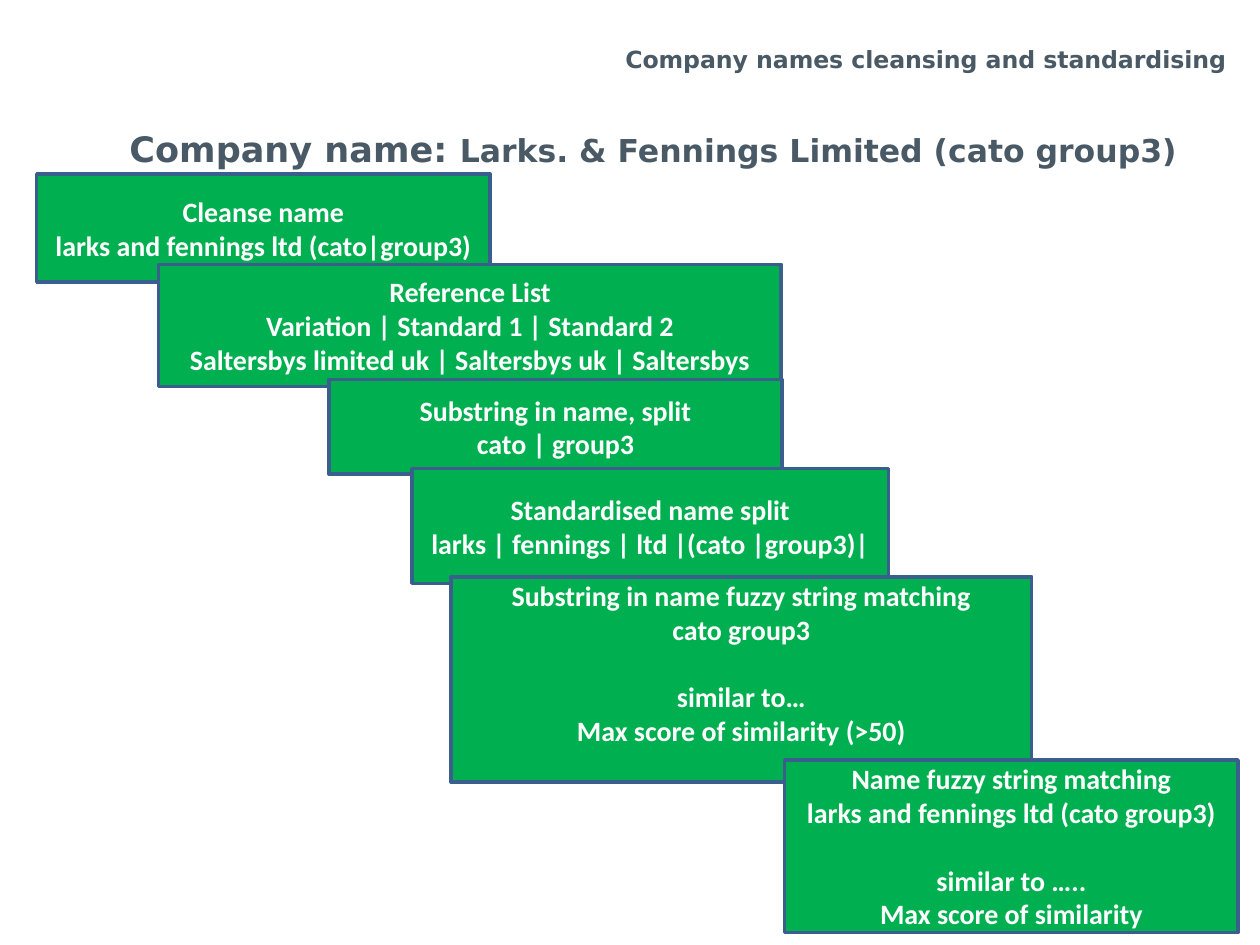
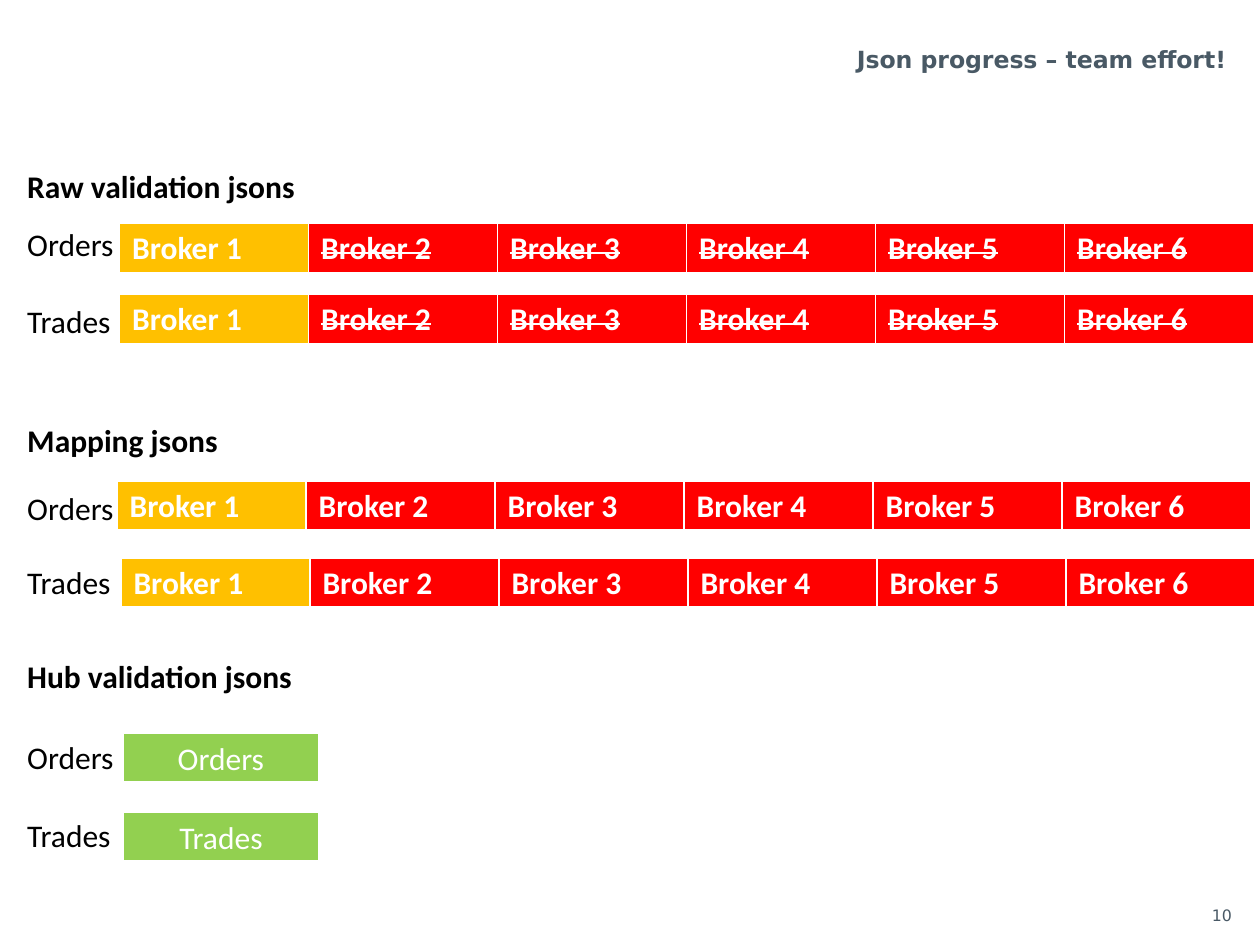
"""Builds two slides on company name cleansing and json progress."""
import pptx
import pptx.util
import pptx.dml.color
import pptx.enum.shapes
import pptx.enum.text
from dataclasses import dataclass
from lxml import etree
from pptx.oxml.ns import qn

Cm, Pt = pptx.util.Cm, pptx.util.Pt
Align = pptx.enum.text.PP_ALIGN
Anchor = pptx.enum.text.MSO_ANCHOR


@dataclass(frozen=True)
class Theme:
    slate: str = "495965"
    black: str = "000000"
    white: str = "FFFFFF"
    green: str = "00B050"
    edge: str = "3A5F8C"
    amber: str = "FFC000"
    red: str = "FF0000"
    lime: str = "92D050"
    head: str = "DejaVu Sans"
    body: str = "Calibri"
    tiny: float = 9
    title: float = 13.5
    step: float = 16
    label: float = 18
    name: float = 20


def rgb(code):
    return pptx.dml.color.RGBColor.from_string(code)


class Deck:
    def __init__(self, theme):
        self.theme = theme
        self.file = pptx.Presentation()
        self.file.slide_width, self.file.slide_height = Cm(25.4), Cm(19.05)

    def page(self, title):
        self.slide = self.file.slides.add_slide(self.file.slide_layouts[6])
        self.text((8.31, 0.79, 16.66, 0.79), title, self.theme.title,
                  bold=True, face=self.theme.head, color=self.theme.slate,
                  align=Align.RIGHT, anchor=Anchor.MIDDLE)

    def style(self, font, size, color, bold=False, face=None):
        font.size, font.bold = Pt(size), bold
        font.name = face or self.theme.body
        font.color.rgb = rgb(color)

    def text(self, area, words, size, bold=False, face=None, color=None,
             align=Align.LEFT, anchor=Anchor.TOP):
        frame = self.slide.shapes.add_textbox(*map(Cm, area)).text_frame
        frame.word_wrap, frame.vertical_anchor = True, anchor
        para = frame.paragraphs[0]
        para.text, para.alignment = words, align
        self.style(para.font, size, color or self.theme.black, bold, face)

    def mixed(self, area, parts):
        frame = self.slide.shapes.add_textbox(*map(Cm, area)).text_frame
        frame.word_wrap = True
        para = frame.paragraphs[0]
        para.alignment = Align.CENTER
        for words, size in parts:
            run = para.add_run()
            run.text = words
            self.style(run.font, size, self.theme.slate, True, self.theme.head)

    def box(self, area, lines, fill, edge, size, bold=False, gap=None, low=0):
        kind = pptx.enum.shapes.MSO_SHAPE.RECTANGLE
        shape = self.slide.shapes.add_shape(kind, *map(Cm, area))
        shape.shadow.inherit = False
        shape.fill.solid()
        shape.fill.fore_color.rgb = rgb(fill)
        shape.line.color.rgb = rgb(edge)
        shape.line.width = Pt(2)
        frame = shape.text_frame
        frame.word_wrap, frame.vertical_anchor = True, Anchor.MIDDLE
        frame.margin_top, frame.margin_bottom = 0, Cm(low)
        frame.text = "\n".join(lines)
        for spot, para in enumerate(frame.paragraphs):
            para.alignment = Align.CENTER
            self.style(para.font, size, self.theme.white, bold)
            if spot == gap:
                para.space_before = Pt(size * 1.22)

    def border(self, cell):
        props = cell._tc.get_or_add_tcPr()
        for spot, (side, width) in enumerate(zip("LRTB", (1, 1, 1, 3))):
            line = etree.Element(qn(f"a:ln{side}"), w=str(Pt(width)))
            fill = etree.SubElement(line, qn("a:solidFill"))
            etree.SubElement(fill, qn("a:srgbClr"), val=self.theme.white)
            props.insert(spot, line)

    def table(self, left, top, names, struck):
        area = map(Cm, (left, top, 3.81 * len(names), 1.02))
        grid = self.slide.shapes.add_table(1, len(names), *area).table
        grid.horz_banding = False
        for spot, name in enumerate(names):
            cell = grid.cell(0, spot)
            cell.fill.solid()
            cell.fill.fore_color.rgb = rgb(
                self.theme.red if spot else self.theme.amber)
            para = cell.text_frame.paragraphs[0]
            para.text = name
            self.style(para.font, self.theme.label, self.theme.white, True)
            if struck and spot:
                para.runs[0].font._element.set("strike", "sngStrike")
            self.border(cell)


def cleanse(deck):
    look = deck.theme
    deck.page("Company names cleansing and standardising")
    deck.mixed((-2.03, 2.44, 30.4, 3.1),
               [("Company name: ", look.name),
                ("Larks. & Fennings Limited (cato group3)", look.label)])
    steps = [
        ((0.74, 3.51, 9.14, 2.18),
         ["Cleanse name", "larks and fennings ltd (cato|group3)"], None, 0),
        ((3.2, 5.33, 12.55, 2.46),
         ["Reference List", "Variation | Standard 1 | Standard 2",
          "Saltersbys limited uk | Saltersbys uk | Saltersbys"], None, 0),
        ((6.63, 7.65, 9.14, 1.91),
         ["Substring in name, split", "cato | group3"], None, 0),
        ((8.31, 9.45, 9.6, 2.31),
         ["Standardised name split",
          "larks | fennings | ltd |(cato |group3)|"], None, 0),
        ((9.09, 11.63, 11.71, 4.14),
         ["Substring in name fuzzy string matching", "cato group3",
          "similar to…", "Max score of similarity (>50)"], 2, 0.68),
        ((15.82, 15.32, 9.14, 3.48),
         ["Name fuzzy string matching", "larks and fennings ltd (cato group3)",
          "similar to …..", "Max score of similarity"], 2, 0),
    ]
    for area, lines, gap, low in steps:
        deck.box(area, lines, look.green, look.edge, look.step, True, gap, low)


def progress(deck):
    look = deck.theme
    deck.page("Json progress – team effort!")
    deck.text((24.18, 18.14, 5.92, 0.74), "10", look.tiny,
              face=look.head, color=look.slate)
    names = [f"Broker {count}" for count in range(1, 7)]
    parts = [
        ("Raw validation jsons", 3.25, (4.42, 5.97)),
        ("Mapping jsons", 8.36, (9.73, 11.23)),
        ("Hub validation jsons", 13.13, (14.76, 16.33)),
    ]
    for head, top, rows in parts:
        deck.text((0.3, top, 11.2, 1.02), head, look.label, bold=True)
        for label, row in zip(("Orders", "Trades"), rows):
            deck.text((0.3, row, 11.2, 1.02), label, look.label)
    for left, top, struck in [(2.41, 4.5, True), (2.41, 5.94, True),
                              (2.36, 9.7, False), (2.44, 11.25, False)]:
        deck.table(left, top, names, struck)
    for label, top in [("Orders", 14.76), ("Trades", 16.36)]:
        deck.box((2.46, top, 3.99, 1.02), [label], look.lime, look.white,
                 look.label)


def main():
    deck = Deck(Theme())
    cleanse(deck)
    progress(deck)
    deck.file.save("out.pptx")


if __name__ == "__main__":
    main()
